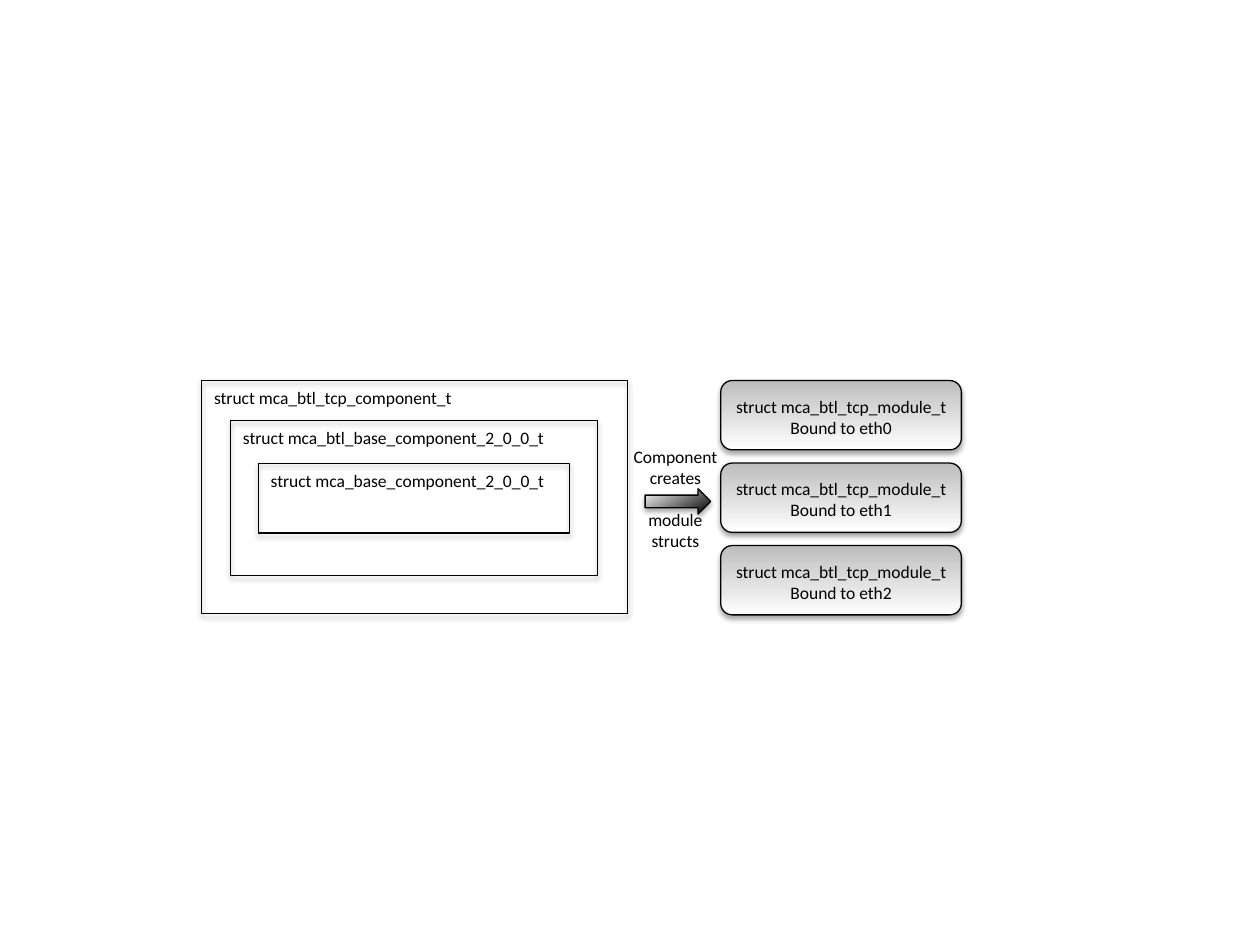
from lxml import etree
from pptx import Presentation
from pptx.dml.color import RGBColor
from pptx.enum import shapes, text
from pptx.oxml import ns
from pptx.util import Inches, Pt

BLACK = RGBColor(0, 0, 0)
WHITE = RGBColor(255, 255, 255)
GRAY = RGBColor(0xBD, 0xBD, 0xBD)
KIND = shapes.MSO_SHAPE
CENTER = text.PP_ALIGN.CENTER

# Content: nested structs as (label, left, top, width, height)
NESTED = [
    ("struct mca_btl_tcp_component_t", 1.6, 3.02, 3.38, 1.85),
    ("struct mca_btl_base_component_2_0_0_t", 1.83, 3.34, 2.91, 1.23),
    ("struct mca_base_component_2_0_0_t", 2.05, 3.68, 2.47, 0.55),
]
PORTS = ["eth0", "eth1", "eth2"]
ABOVE = ["Component", "creates"]
BELOW = ["module", "structs"]


def add_shadow(shape):
    effects = etree.SubElement(shape._element.spPr, ns.qn("a:effectLst"))
    outer = etree.SubElement(
        effects, ns.qn("a:outerShdw"), blurRad=str(Pt(3.1)),
        dist=str(Pt(1.8)), dir="5400000", rotWithShape="0")
    color = etree.SubElement(outer, ns.qn("a:srgbClr"), val="000000")
    etree.SubElement(color, ns.qn("a:alpha"), val="35000")


def add_box(kind, box, stops=None, angle=0):
    shape = slide.shapes.add_shape(kind, *map(Inches, box))
    if stops:
        shape.fill.gradient()
        shape.fill.gradient_angle = angle
        for stop, color in zip(shape.fill.gradient_stops, stops):
            stop.color.rgb = color
    else:
        shape.fill.background()
    shape.line.color.rgb = BLACK
    shape.line.width = Pt(0.75)
    add_shadow(shape)


def add_label(box, lines, wrap=True, align=text.PP_ALIGN.LEFT):
    frame = slide.shapes.add_textbox(*map(Inches, box)).text_frame
    frame.word_wrap = wrap
    frame.text = "\n".join(lines)
    for para in frame.paragraphs:
        para.alignment = align
        para.font.name = "Calibri"
        para.font.size = Pt(10)
        para.font.color.rgb = BLACK
    return frame


deck = Presentation()
deck.slide_width, deck.slide_height = Inches(10), Inches(7.5)
slide = deck.slides.add_slide(deck.slide_layouts[6])

# Nested component structs
for label, left, top, width, height in NESTED:
    add_box(KIND.RECTANGLE, (left, top, width, height))
    add_label((left, top, width, 0.27), [label])

# Arrow, with its caption split above and below
caption = add_label((4.92, 3.49, 0.88, 0.94), ABOVE + BELOW, wrap=False,
                    align=CENTER)
caption.paragraphs[len(ABOVE)].space_before = Pt(12)
add_box(KIND.RIGHT_ARROW, (5.12, 3.88, 0.52, 0.2), (BLACK, WHITE), 121)

# Module structs, one per port
for row, port in enumerate(PORTS):
    top = 3.02 + row * 0.655
    add_box(KIND.ROUNDED_RECTANGLE, (5.72, top, 1.91, 0.55),
            (WHITE, GRAY), 90)
    add_label((5.72, top + 0.07, 1.91, 0.44),
              ["struct mca_btl_tcp_module_t", f"Bound to {port}"],
              align=CENTER)

deck.save("out.pptx")
